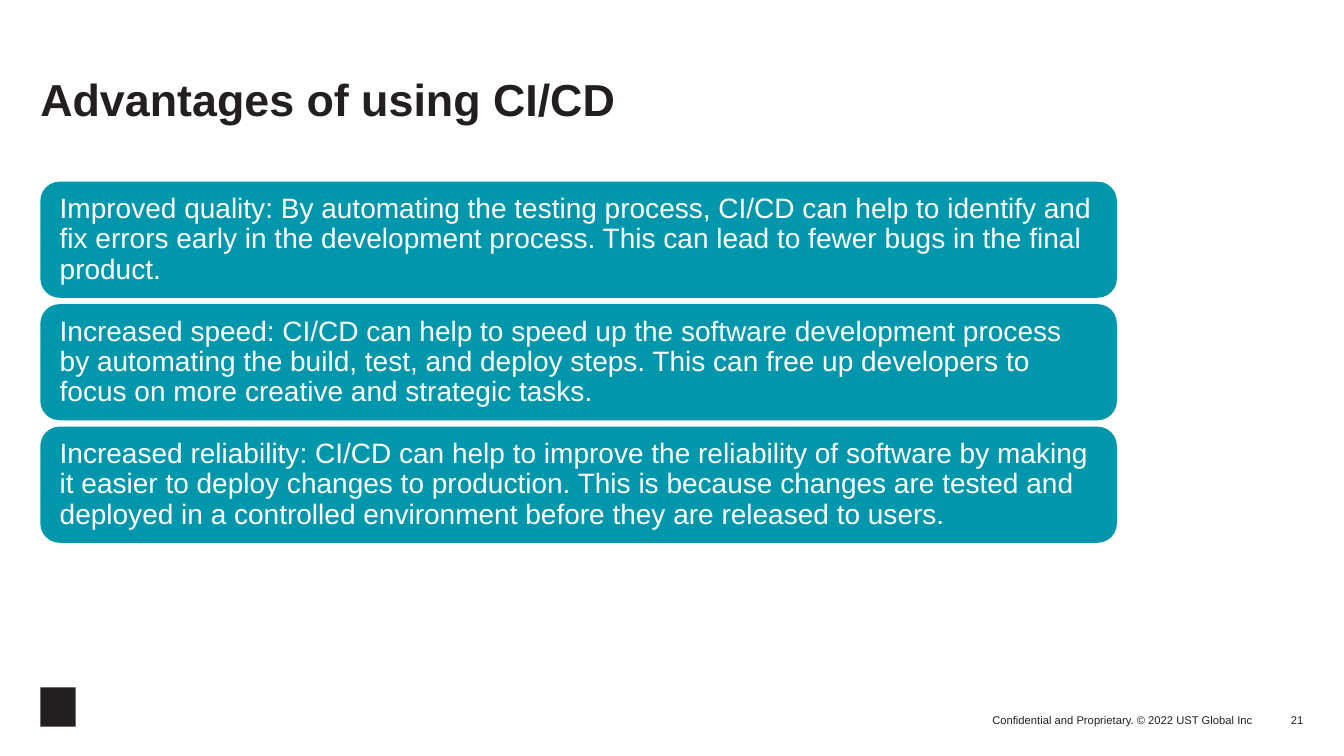
import pptx
import pptx.util
import pptx.dml.color
import pptx.enum.shapes
import pptx.enum.text

Pt = pptx.util.Pt
Align = pptx.enum.text.PP_ALIGN
Anchor = pptx.enum.text.MSO_ANCHOR
Shape = pptx.enum.shapes.MSO_SHAPE

TITLE = "Advantages of using CI/CD"
CARDS = [
    "Improved quality: By automating the testing process, CI/CD can help to "
    "identify and fix errors early in the development process. This can lead "
    "to fewer bugs in the final product.",
    "Increased speed: CI/CD can help to speed up the software development "
    "process by automating the build, test, and deploy steps. This can free up "
    "developers to focus on more creative and strategic tasks.",
    "Increased reliability: CI/CD can help to improve the reliability of "
    "software by making it easier to deploy changes to production. This is "
    "because changes are tested and deployed in a controlled environment "
    "before they are released to users.",
]
# text, left, top, width, height
FOOTER = [
    ("Confidential and Proprietary. © 2022 UST Global Inc", 647.3, 504.7, 247.7, 14.4),
    ("21", 895, 497.5, 36, 21.6),
]

THEME = {
    "font": "Arial",
    "ink": "231F20", "card": "0097AC", "light": "FFFFFF",
    "title": 32, "body": 20, "foot": 8,
}
LEFT = 28.8
CARD_TOP, CARD_WIDTH, CARD_HEIGHT, CARD_GAP = 129.75, 769, 83, 4.5
CARD_INSET = 9.8


def color(name):
    return pptx.dml.color.RGBColor.from_string(THEME[name])


def write(shape, text, size, ink, align=Align.LEFT, anchor=Anchor.TOP,
          inset=0, spacing=1.0, bold=False):
    """Fill a shape with one formatted run of text."""
    frame = shape.text_frame
    frame.word_wrap = True
    frame.auto_size = pptx.enum.text.MSO_AUTO_SIZE.NONE
    frame.vertical_anchor = anchor
    frame.margin_left = frame.margin_right = Pt(inset)
    frame.margin_top = frame.margin_bottom = Pt(inset)
    line = frame.paragraphs[0]
    line.alignment = align
    line.line_spacing = spacing
    run = line.add_run()
    run.text = text
    run.font.name = THEME["font"]
    run.font.size = Pt(THEME[size])
    run.font.bold = bold
    run.font.color.rgb = color(ink)


def add_block(slide, kind, box, fill):
    """Add a flat preset shape without an outline."""
    block = slide.shapes.add_shape(kind, *map(Pt, box))
    block.shadow.inherit = False
    block.fill.solid()
    block.fill.fore_color.rgb = color(fill)
    block.line.fill.background()
    return block


def main():
    deck = pptx.Presentation()
    deck.slide_width, deck.slide_height = Pt(960), Pt(540)
    slide = deck.slides.add_slide(deck.slide_layouts[5])

    title = slide.shapes.title
    title.left, title.top = Pt(LEFT), Pt(55.4)
    title.width, title.height = Pt(902.2), Pt(72)
    write(title, TITLE, "title", "ink", spacing=0.9, bold=True)

    for row, text in enumerate(CARDS):
        top = CARD_TOP + row * (CARD_HEIGHT + CARD_GAP)
        box = (LEFT, top, CARD_WIDTH, CARD_HEIGHT)
        card = add_block(slide, Shape.ROUNDED_RECTANGLE, box, "card")
        write(card, text, "body", "light", anchor=Anchor.MIDDLE,
              inset=CARD_INSET, spacing=0.9)

    add_block(slide, Shape.RECTANGLE, (LEFT, 491, 25.2, 28), "ink")
    for text, *box in FOOTER:
        note = slide.shapes.add_textbox(*map(Pt, box))
        write(note, text, "foot", "ink", align=Align.RIGHT, anchor=Anchor.BOTTOM)

    deck.save("out.pptx")


if __name__ == "__main__":
    main()
